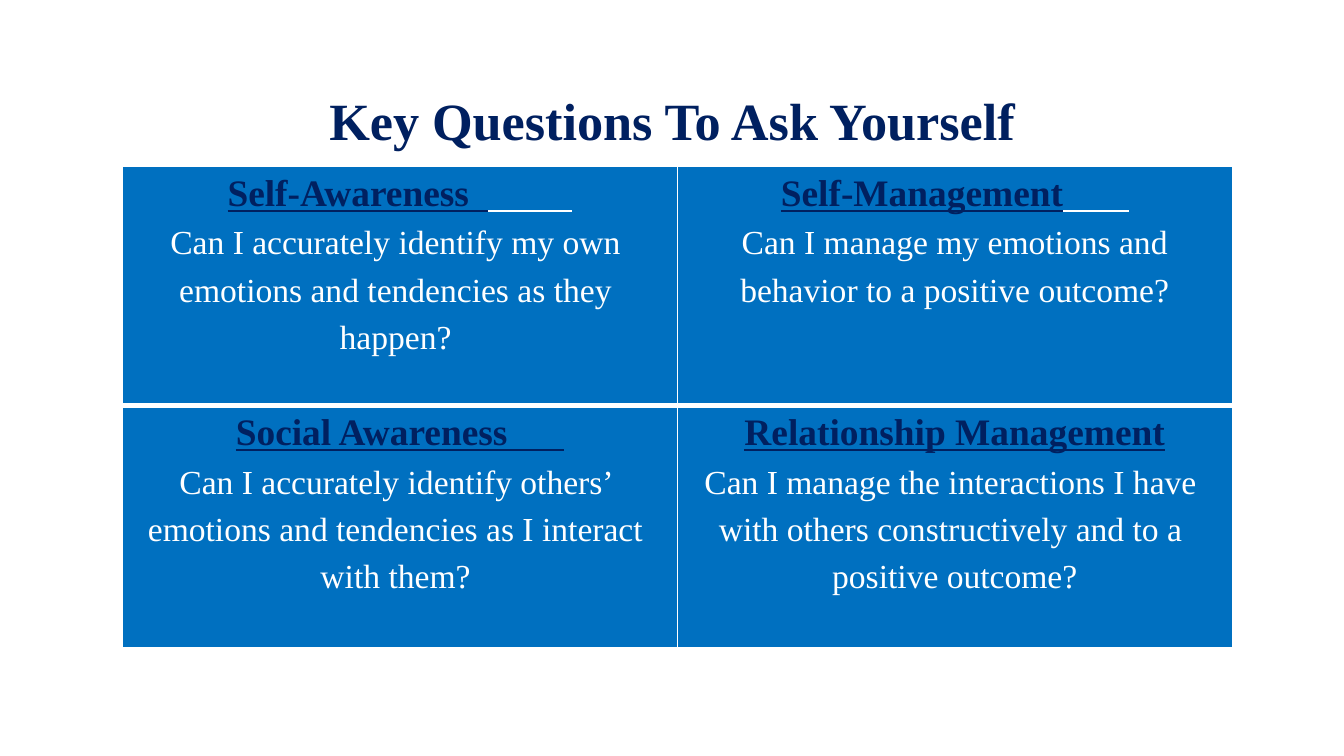
from typing import NamedTuple

from lxml import etree
from pptx import Presentation
from pptx.dml.color import RGBColor
from pptx.enum import text
from pptx.oxml import ns
from pptx.util import Inches, Pt

NAVY = RGBColor(0x00, 0x20, 0x60)
BLUE = RGBColor(0x00, 0x70, 0xC0)
WHITE = RGBColor(0xFF, 0xFF, 0xFF)
FONT = "Times New Roman"


class Skill(NamedTuple):
    """A heading, the underlined blanks that extend its rule, and a question."""
    heading: str
    navy_blanks: int
    white_blanks: int
    question: list[str]


SKILLS = [
    [
        Skill("Self-Awareness", 2, 9, [
            "Can I accurately identify my own ",
            "emotions and tendencies as they ",
            "happen? ",
        ]),
        Skill("Self-Management", 0, 7, [
            " Can I manage my emotions and ",
            "behavior to a positive outcome?",
        ]),
    ],
    [
        Skill("Social Awareness", 6, 0, [
            "Can I accurately identify others’ ",
            "emotions and tendencies as I interact ",
            "with them? ",
        ]),
        Skill("Relationship Management", 0, 0, [
            "Can I manage the interactions I have ",
            "with others constructively and to a ",
            "positive outcome?",
        ]),
    ],
]


def format_run(run, size: float, color: RGBColor, bold: bool = False,
               underline: bool = False) -> None:
    run.font.name = FONT
    run.font.size = Pt(size)
    run.font.color.rgb = color
    run.font.bold = bold
    run.font.underline = underline


def set_borders(cell, top: float, bottom: float) -> None:
    """Draw white borders, one point wide at the sides; call before the fill."""
    properties = cell._tc.get_or_add_tcPr()
    widths = {"a:lnL": 1, "a:lnR": 1, "a:lnT": top, "a:lnB": bottom}
    for side, width in widths.items():
        line = etree.SubElement(properties, ns.qn(side), w=str(Pt(width)))
        fill = etree.SubElement(line, ns.qn("a:solidFill"))
        etree.SubElement(fill, ns.qn("a:srgbClr"), val=str(WHITE))


def fill_cell(cell, skill: Skill) -> None:
    cell.fill.solid()
    cell.fill.fore_color.rgb = BLUE
    frame = cell.text_frame
    heading = frame.paragraphs[0]
    heading.text = skill.heading + " " * skill.navy_blanks
    heading.alignment = text.PP_ALIGN.CENTER
    format_run(heading.runs[0], 20, NAVY, bold=True, underline=True)
    if skill.white_blanks:
        rule = heading.add_run()
        rule.text = " " * skill.white_blanks
        format_run(rule, 20, WHITE, underline=True)
    for wording in skill.question:
        line = frame.add_paragraph()
        line.text = wording
        line.alignment = text.PP_ALIGN.CENTER
        line.space_before = Pt(5.4)
        format_run(line.runs[0], 18, WHITE)


def add_title(slide, wording: str) -> None:
    title = slide.shapes.title
    title.left, title.top = Inches(0.75), Inches(0.61)
    title.width, title.height = Inches(8.5), Inches(0.75)
    frame = title.text_frame
    frame.text = wording
    frame.vertical_anchor = text.MSO_ANCHOR.TOP
    frame.margin_top = Inches(0.05)
    frame.paragraphs[0].alignment = text.PP_ALIGN.CENTER
    format_run(frame.paragraphs[0].runs[0], 28, NAVY, bold=True)


def add_skill_table(slide, skills: list[list[Skill]]) -> None:
    row_heights = [Inches(1.78), Inches(1.8)]
    row_borders = [(1, 3), (3, 1)]
    table = slide.shapes.add_table(
        len(skills), len(skills[0]), Inches(0.91), Inches(1.24),
        Inches(8.26), sum(row_heights)).table
    table.horz_banding = False
    for row, height, (top, bottom), row_skills in zip(
            table.rows, row_heights, row_borders, skills):
        row.height = height
        for cell, skill in zip(row.cells, row_skills):
            set_borders(cell, top, bottom)
            fill_cell(cell, skill)


def main() -> None:
    deck = Presentation()
    deck.slide_width = Inches(10)
    deck.slide_height = deck.slide_width * 9 // 16
    slide = deck.slides.add_slide(deck.slide_layouts[5])
    add_title(slide, "Key Questions To Ask Yourself")
    add_skill_table(slide, SKILLS)
    deck.save("out.pptx")


if __name__ == "__main__":
    main()
